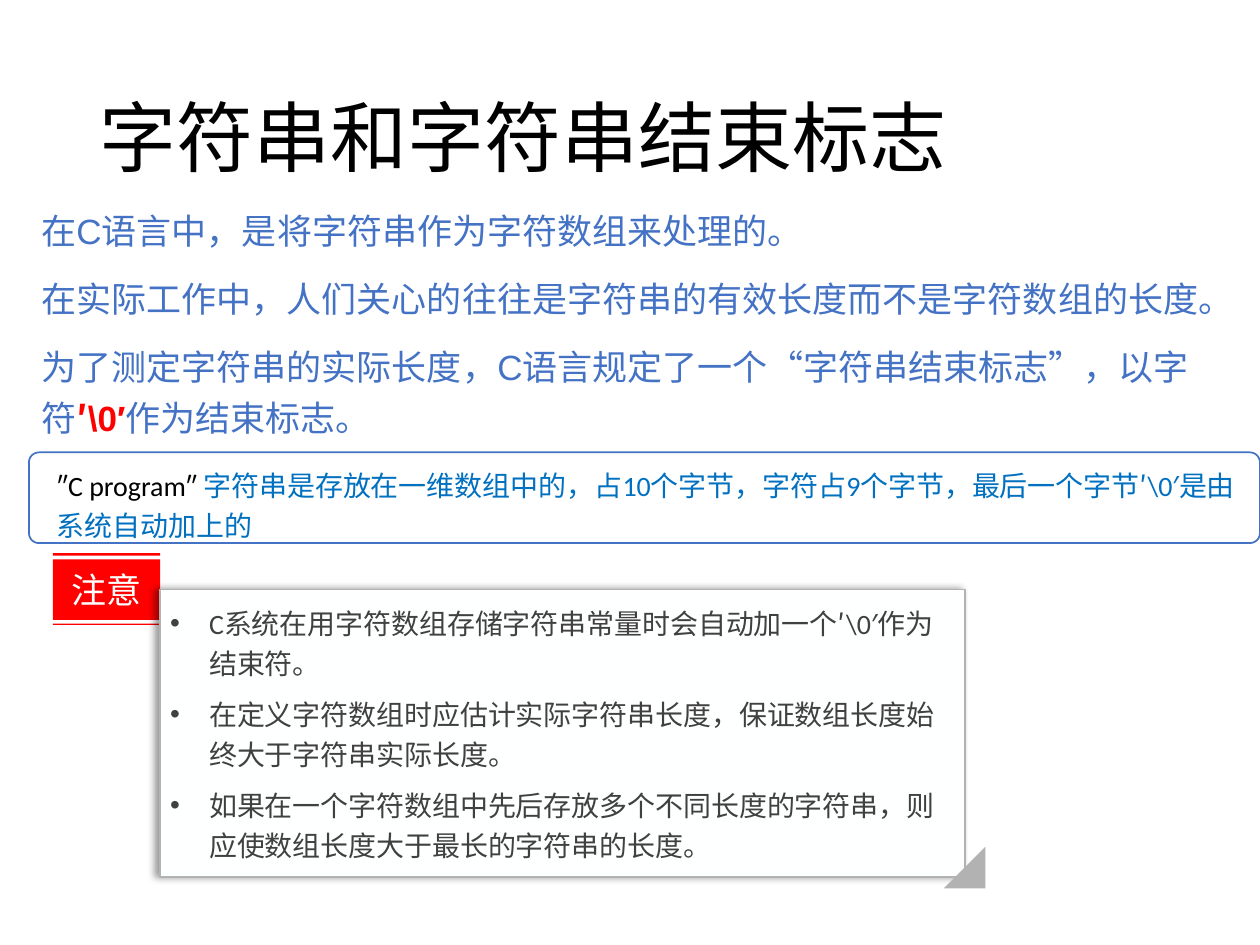
from lxml.etree import SubElement
from pptx import Presentation
from pptx.dml.color import RGBColor
from pptx.enum.shapes import MSO_SHAPE
from pptx.enum.text import MSO_ANCHOR, PP_ALIGN
from pptx.oxml.ns import qn
from pptx.util import Inches, Pt

BLUE, RED, GRAY, WHITE = "4472C4", "FF0000", "B2B2B2", "FEFFFF"


def color(hex_text):
    return RGBColor.from_string(hex_text)


class SlideBuilder:
    """Holds the shared text style and the slide being filled."""

    insets = (0.1, 0.05, 0.1, 0.05)
    font = {"name": "Calibri", "size": Pt(16), "bold": False}

    def __init__(self, slide):
        self.slide = slide

    def text(self, shape, paragraphs, anchor=MSO_ANCHOR.TOP, insets=insets,
             spacing=None, bullet=False, **font):
        """Fill a shape with paragraphs, each a list of (text, colour, extra font values)."""
        frame = shape.text_frame
        frame.word_wrap = True
        frame.vertical_anchor = anchor
        for side, inset in zip(("left", "top", "right", "bottom"), insets):
            setattr(frame, f"margin_{side}", Inches(inset))
        for index, spans in enumerate(paragraphs):
            para = frame.add_paragraph() if index else frame.paragraphs[0]
            for name, value in ({"alignment": PP_ALIGN.LEFT} | (spacing or {})).items():
                setattr(para, name, value)
            if bullet:
                self.bullet(para)
            for words, hex_text, *extra in spans:
                span = para.add_run()
                span.text = words
                span.font.color.rgb = color(hex_text)
                for values in (self.font, font, *extra):
                    for name, value in values.items():
                        setattr(span.font, name, value)

    def bullet(self, para):
        properties = para._p.get_or_add_pPr()
        properties.set("marL", str(Inches(0.31)))
        properties.set("indent", str(-Inches(0.31)))
        SubElement(properties, qn("a:buFont"), typeface="Arial")
        SubElement(properties, qn("a:buChar"), char="•")

    def textbox(self, place, paragraphs, **style):
        box = self.slide.shapes.add_textbox(*map(Inches, place))
        self.text(box, paragraphs, **style)

    def paint(self, shape, fill, line=None, width=1):
        shape.shadow.inherit = False
        shape.fill.solid()
        shape.fill.fore_color.rgb = color(fill)
        if line:
            shape.line.color.rgb = color(line)
            shape.line.width = Pt(width)
        else:
            shape.line.fill.background()
        return shape

    def shape(self, kind, place, fill, line=None, width=1):
        shape = self.slide.shapes.add_shape(kind, *map(Inches, place))
        return self.paint(shape, fill, line, width)

    def bands(self, left, right, spans, fill):
        """Draw one outline made of several horizontal bands."""
        outline = None
        for top, bottom in spans:
            corners = [(Inches(x), Inches(y)) for x, y in
                       ((left, top), (right, top), (right, bottom), (left, bottom))]
            if outline is None:
                outline = self.slide.shapes.build_freeform(*corners[0])
            else:
                outline.move_to(*corners[0])
            outline.add_line_segments(corners[1:], close=True)
        return self.paint(outline.convert_to_shape(), fill)

    def left_shadow(self, shape):
        effects = shape._element.spPr.find(qn("a:effectLst"))
        shadow = SubElement(effects, qn("a:outerShdw"), blurRad=str(Pt(4)), dist=str(Pt(3)),
                            dir=str(180 * 60000), algn="r", rotWithShape="0")
        black = SubElement(shadow, qn("a:srgbClr"), val="000000")
        SubElement(black, qn("a:alpha"), val="40000")


def main():
    deck = Presentation()
    deck.slide_width, deck.slide_height = Inches(10), Inches(7.5)
    page = SlideBuilder(deck.slides.add_slide(deck.slide_layouts[6]))

    page.textbox((0.69, 0.4, 8.62, 1.45), [[("字符串和字符串结束标志", "000000")]],
                 anchor=MSO_ANCHOR.MIDDLE, spacing={"line_spacing": 0.9}, size=Pt(44))
    page.textbox((0.23, 1.55, 9.61, 1.45), [
        [("在C语言中，是将字符串作为字符数组来处理的。", BLUE)],
        [("在实际工作中，人们关心的往往是字符串的有效长度而不是字符数组的长度。", BLUE)],
        [("为了测定字符串的实际长度，C语言规定了一个“字符串结束标志”，以字符", BLUE),
         ("′\\0′", RED, {"bold": True}),
         ("作为结束标志。", BLUE)],
    ], spacing={"line_spacing": 1.2, "space_before": Pt(10)}, name="Arial", size=Pt(20))

    label = page.bands(0.42, 1.27, [(4.95, 4.96), (4.44, 4.92), (4.39, 4.41)], RED)
    page.text(label, [[("注意", WHITE)]], anchor=MSO_ANCHOR.MIDDLE,
              spacing={"alignment": PP_ALIGN.CENTER}, size=Pt(20))

    notes = page.shape(MSO_SHAPE.RECTANGLE, (1.27, 4.68, 6.39, 2.28), WHITE, GRAY, 0.75)
    page.left_shadow(notes)
    page.text(notes, [[(words, "404040")] for words in (
        "C系统在用字符数组存储字符串常量时会自动加一个′\\0′作为结束符。",
        "在定义字符数组时应估计实际字符串长度，保证数组长度始终大于字符串实际长度。",
        "如果在一个字符数组中先后存放多个不同长度的字符串，则应使数组长度大于最长的字符串的长度。",
    )], insets=(0.08,) * 4, bullet=True,
        spacing={"line_spacing": 1.2, "space_after": Pt(6)})
    corner = page.shape(MSO_SHAPE.RIGHT_TRIANGLE, (7.49, 6.72, 0.33, 0.33), GRAY)
    corner.rotation = 270

    example = page.shape(MSO_SHAPE.ROUNDED_RECTANGLE, (0.23, 3.59, 9.77, 0.72), "FFFFFF", BLUE)
    example.adjustments[0] = 0.11
    page.text(example, [[
        ("″C program″ ", "000000"),
        ("字符串是存放在一维数组中的，占10个字节，字符占9个字节，最后一个字节′\\0′是由系统自动加上的", "0070C0"),
    ]], insets=(0.2, 0.05, 0.1, 0.05), spacing={"line_spacing": 1.2})

    deck.save("out.pptx")


if __name__ == "__main__":
    main()
